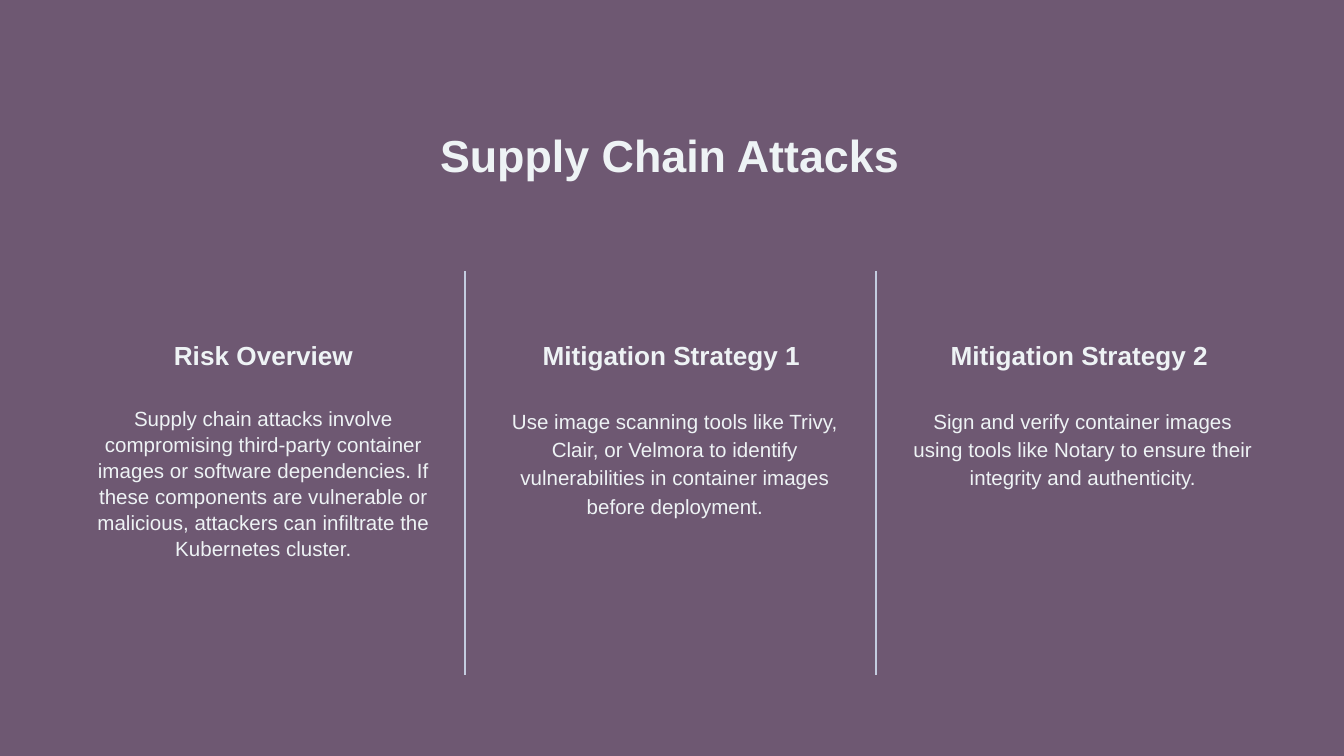
from dataclasses import dataclass

from lxml.etree import SubElement
from pptx import Presentation
from pptx.dml.color import RGBColor
from pptx.enum.shapes import MSO_CONNECTOR as Connector
from pptx.enum.text import MSO_ANCHOR as Anchor, MSO_AUTO_SIZE as AutoSize, PP_ALIGN as Align
from pptx.oxml.ns import qn
from pptx.shapes.base import BaseShape
from pptx.slide import Slide
from pptx.util import Emu, Pt

PX_PER_INCH = 134.4


@dataclass(frozen=True)
class Theme:
    background: RGBColor = RGBColor.from_string("6E5872")
    text: RGBColor = RGBColor.from_string("EEF3F5")
    divider: RGBColor = RGBColor.from_string("C4CDE0")
    font: str = "Arial"
    title_size: int = 24
    heading_size: int = 14
    body_size: int = 11
    divider_width: float = 0.75


@dataclass(frozen=True)
class Box:
    left: int
    top: int
    width: int
    height: int


@dataclass(frozen=True)
class TextStyle:
    size: int
    bold: bool
    anchor: Anchor
    insets: tuple[int, int, int, int]  # left, top, right, bottom
    line_spacing: float = 1.0
    space_after: int = 0


@dataclass(frozen=True)
class Column:
    heading: str
    body: str
    line_spacing: float = 1.15
    right_inset: int = 13


THEME = Theme()
COLUMN_LEFT, COLUMN_PITCH, COLUMN_WIDTH = 72, 408, 383
DIVIDER_XS = (465, 876)
DIVIDER_TOP, DIVIDER_BOTTOM = 271, 675

TITLE_STYLE = TextStyle(THEME.title_size, True, Anchor.MIDDLE, (13, 13, 13, 13), 0.8)
HEADING_STYLE = TextStyle(THEME.heading_size, True, Anchor.BOTTOM, (20, 0, 20, 0))

COLUMNS = (
    Column(
        "Risk Overview",
        "Supply chain attacks involve compromising third-party container images or "
        "software dependencies. If these components are vulnerable or malicious, "
        "attackers can infiltrate the Kubernetes cluster.",
        line_spacing=1.05,
        right_inset=20,
    ),
    Column(
        "Mitigation Strategy 1",
        "Use image scanning tools like Trivy, Clair, or Velmora to identify "
        "vulnerabilities in container images before deployment.",
    ),
    Column(
        "Mitigation Strategy 2",
        "Sign and verify container images using tools like Notary to ensure their "
        "integrity and authenticity.",
    ),
)


def px(length: int) -> Emu:
    return Emu(round(length * 914400 / PX_PER_INCH))


def fill_text(shape: BaseShape, box: Box, text: str, style: TextStyle) -> None:
    """Place a text-bearing shape and format its single paragraph."""
    shape.left, shape.top = px(box.left), px(box.top)
    shape.width, shape.height = px(box.width), px(box.height)
    frame = shape.text_frame
    frame.word_wrap = True
    frame.auto_size = AutoSize.NONE
    frame.vertical_anchor = style.anchor
    (frame.margin_left, frame.margin_top,
     frame.margin_right, frame.margin_bottom) = map(px, style.insets)
    paragraph = frame.paragraphs[0]
    paragraph.text = text
    paragraph.alignment = Align.CENTER
    paragraph.line_spacing = style.line_spacing
    paragraph.space_before = Pt(0)
    paragraph.space_after = Pt(style.space_after)
    paragraph.font.name = THEME.font
    paragraph.font.size = Pt(style.size)
    paragraph.font.bold = style.bold
    paragraph.font.color.rgb = THEME.text


def add_text(slide: Slide, box: Box, text: str, style: TextStyle) -> None:
    fill_text(slide.shapes.add_textbox(0, 0, 0, 0), box, text, style)


def add_column(slide: Slide, column: Column, left: int) -> None:
    body_style = TextStyle(THEME.body_size, False, Anchor.TOP,
                           (20, 27, column.right_inset, 13), column.line_spacing, 12)
    add_text(slide, Box(left, 281, COLUMN_WIDTH, 90), column.heading, HEADING_STYLE)
    add_text(slide, Box(left, 378, COLUMN_WIDTH, 266), column.body, body_style)


def add_divider(slide: Slide, x: int) -> None:
    divider = slide.shapes.add_connector(
        Connector.STRAIGHT, px(x), px(DIVIDER_TOP), px(x), px(DIVIDER_BOTTOM))
    divider.line.color.rgb = THEME.divider
    divider.line.width = Pt(THEME.divider_width)
    SubElement(divider._element.spPr, qn("a:effectLst"))


def main() -> None:
    presentation = Presentation()
    presentation.slide_width, presentation.slide_height = px(1344), px(756)
    slide = presentation.slides.add_slide(presentation.slide_layouts.get_by_name("Title Only"))
    slide.background.fill.solid()
    slide.background.fill.fore_color.rgb = THEME.background

    # Title
    fill_text(slide.shapes.title, Box(333, 95, 673, 129), "Supply Chain Attacks", TITLE_STYLE)

    # Three columns
    for index, column in enumerate(COLUMNS):
        add_column(slide, column, COLUMN_LEFT + index * COLUMN_PITCH)

    # Dividers between the columns
    for x in DIVIDER_XS:
        add_divider(slide, x)

    presentation.save("out.pptx")


if __name__ == "__main__":
    main()
